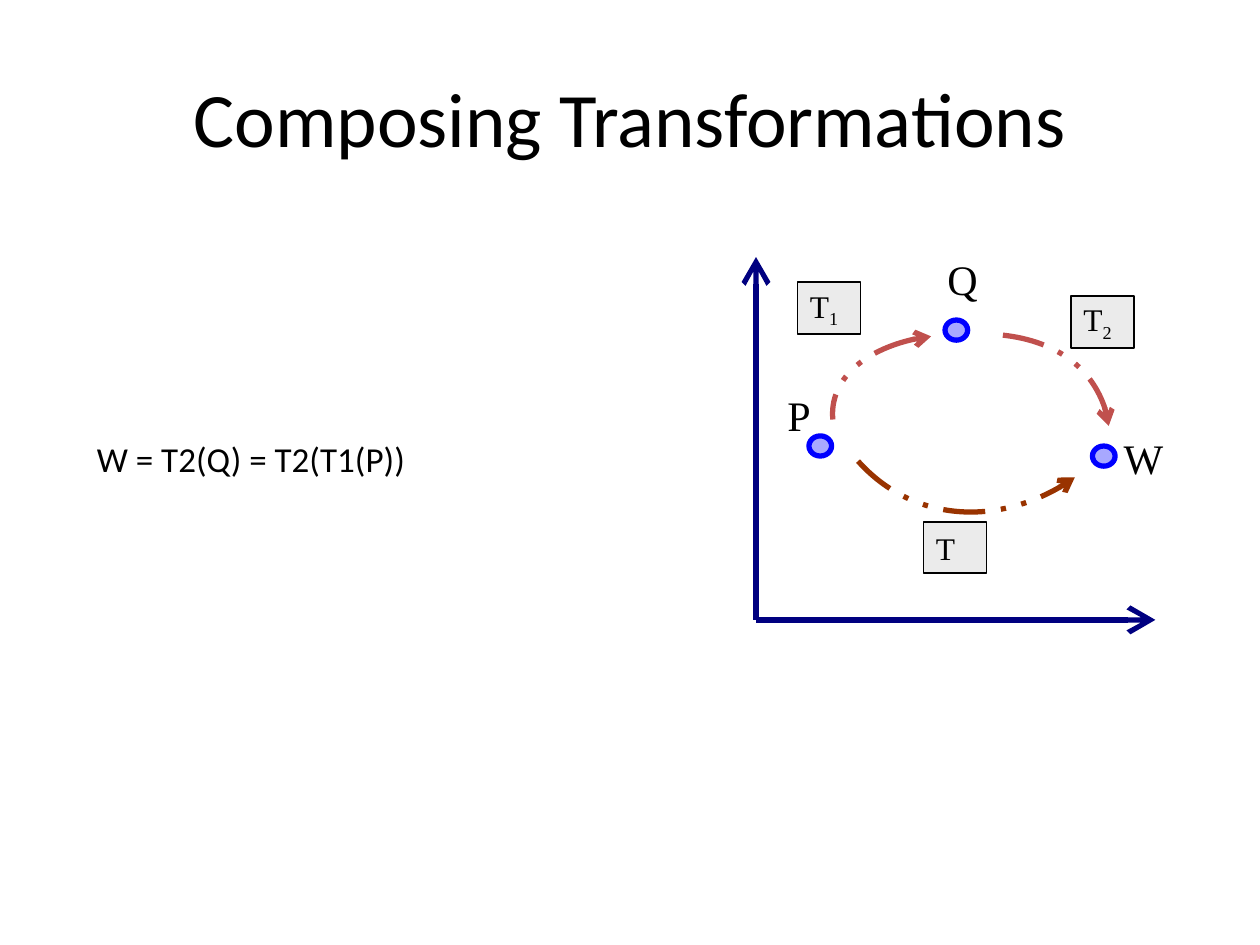
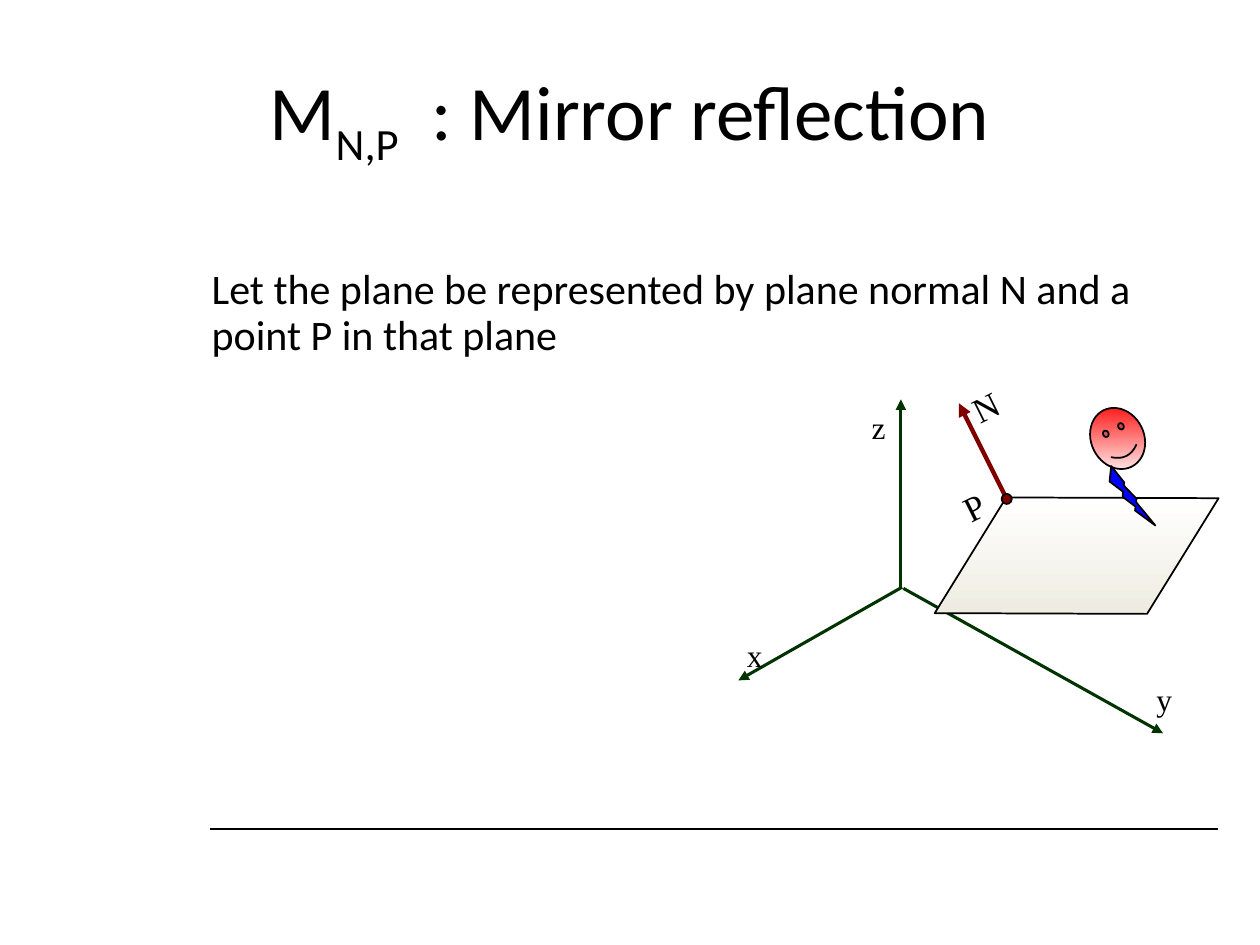
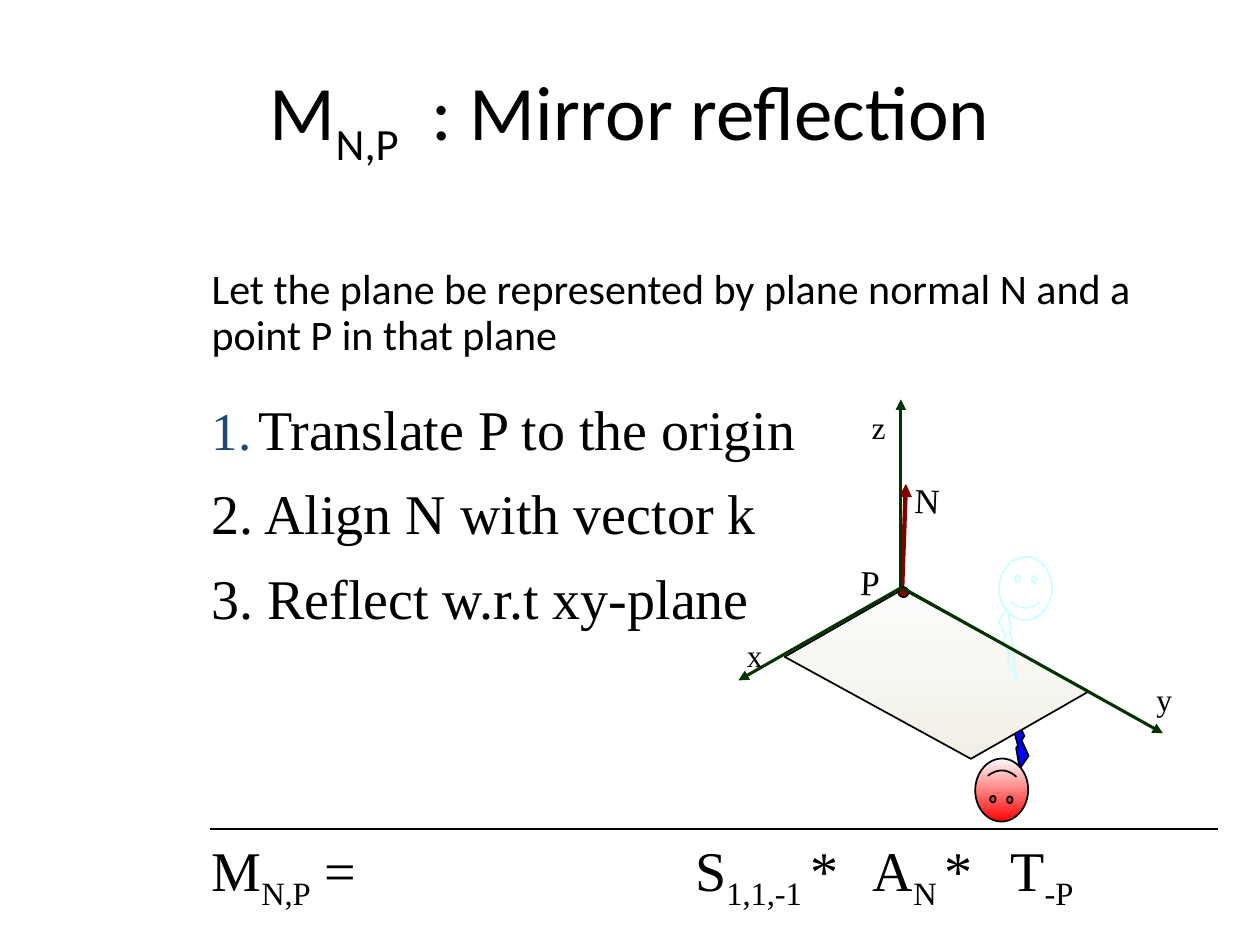
from dataclasses import dataclass
from typing import Optional

from lxml import etree
from pptx import Presentation
from pptx.dml.color import RGBColor
from pptx.enum.dml import MSO_LINE
from pptx.enum.shapes import MSO_CONNECTOR, MSO_SHAPE
from pptx.enum.text import MSO_ANCHOR, MSO_AUTO_SIZE, PP_ALIGN
from pptx.oxml.ns import qn
from pptx.util import Inches, Pt

STRAIGHT = MSO_CONNECTOR.STRAIGHT
ELLIPSE = MSO_SHAPE.OVAL
RECTANGLE = MSO_SHAPE.RECTANGLE
PARALLELOGRAM = MSO_SHAPE.PARALLELOGRAM
SMILEY = MSO_SHAPE.SMILEY_FACE
BOLT = MSO_SHAPE.LIGHTNING_BOLT
DASH_DOT_DOT = MSO_LINE.DASH_DOT_DOT
MIDDLE = MSO_ANCHOR.MIDDLE
TOP = MSO_ANCHOR.TOP
GROW = MSO_AUTO_SIZE.SHAPE_TO_FIT_TEXT
FIXED = MSO_AUTO_SIZE.NONE
LEFT = PP_ALIGN.LEFT

COLORS = {
    "ink": "000000",
    "paper": "FFFFFF",
    "axis": "000080",
    "point": "0000FF",
    "step": "C0504D",
    "composed": "993300",
    "tag": "C0C0C0",
    "frame": "003300",
    "normal": "800000",
    "plane": "EEECE1",
    "face": "FF0000",
    "ghost": "CCFFFF",
    "number": "1F497D",
}
HEADING_FONT = "Calibri"
DIAGRAM_FONT = "Times New Roman"
SUBSCRIPT = -25000

Point = tuple[float, float]
Area = tuple[float, float, float, float]


@dataclass(frozen=True)
class Run:
    text: str
    subscript: bool = False
    spacing: float = 0


@dataclass(frozen=True)
class Label:
    runs: tuple[Run, ...]
    area: Area
    size: float = 24
    font: str = DIAGRAM_FONT
    anchor: MSO_ANCHOR = TOP
    wrap: bool = True
    rotation: float = 0


@dataclass(frozen=True)
class Arc:
    curve: tuple[Point, Point, Point, Point]
    color: str
    arrow_end: str = "tailEnd"


@dataclass(frozen=True)
class Entry:
    runs: tuple[Run, ...]
    area: Area
    numbered: bool = False


@dataclass(frozen=True)
class Normal:
    start: Point
    end: Point
    name_at: Point
    point_name_at: Point
    point_at: Point
    tilt: float


def rgb(name: str) -> RGBColor:
    return RGBColor.from_string(COLORS[name])


def lengths(values: tuple) -> list:
    return [Inches(value) for value in values]


def write(paragraph, runs: tuple[Run, ...], size: float, font: str) -> None:
    for part in runs:
        run = paragraph.add_run()
        run.text = part.text
        run.font.size = Pt(size)
        run.font.name = font
        run.font.color.rgb = rgb("ink")
        properties = run.font._element
        if part.subscript:
            properties.set("baseline", str(SUBSCRIPT))
        if part.spacing:
            properties.set("spc", str(int(part.spacing * 100)))


def set_arrow(line_format, end: str, kind: str, size: str = "med") -> None:
    line = line_format._get_or_add_ln()
    etree.SubElement(line, qn(f"a:{end}"), type=kind, w=size, len=size)


def add_label(slide, label: Label) -> None:
    box = slide.shapes.add_textbox(*lengths(label.area))
    box.rotation = label.rotation
    frame = box.text_frame
    frame.word_wrap = label.wrap
    frame.auto_size = GROW
    frame.vertical_anchor = label.anchor
    write(frame.paragraphs[0], label.runs, label.size, label.font)


def add_line(slide, start: Point, end: Point, color: str, width: float,
             arrow: Optional[str] = None, arrow_size: str = "med") -> None:
    line = slide.shapes.add_connector(STRAIGHT, *lengths(start + end))
    line.line.color.rgb = rgb(color)
    line.line.width = Pt(width)
    if arrow:
        set_arrow(line.line, "tailEnd", arrow, arrow_size)
    etree.SubElement(line._element.spPr, qn("a:effectLst"))


def add_figure(slide, kind: MSO_SHAPE, area: Area, fill: Optional[str] = None,
               line: str = "ink", width: float = 1, rotation: float = 0,
               opacity: int = 100):
    figure = slide.shapes.add_shape(kind, *lengths(area))
    figure.shadow.inherit = False
    figure.rotation = rotation
    figure.line.color.rgb = rgb(line)
    figure.line.width = Pt(width)
    if fill is None:
        figure.fill.background()
        return figure
    figure.fill.solid()
    figure.fill.fore_color.rgb = rgb(fill)
    if opacity < 100:
        color = figure._element.spPr.find(qn("a:solidFill"))[0]
        etree.SubElement(color, qn("a:alpha"), val=str(opacity * 1000))
    return figure


def shade(figure, upper: str, lower: str) -> None:
    figure.fill.gradient()
    figure.fill.gradient_angle = 270
    for stop, color, position in zip(figure.fill.gradient_stops, (upper, lower), (0, 1)):
        stop.color.rgb = rgb(color)
        stop.position = position
    figure._element.spPr.find(qn("a:gradFill")).set("rotWithShape", "0")


def add_arc(slide, arc: Arc) -> None:
    start, *rest = [tuple(lengths(point)) for point in arc.curve]
    builder = slide.shapes.build_freeform(*start)
    builder.add_line_segments(rest, close=False)
    shape = builder.convert_to_shape()
    shape.shadow.inherit = False
    shape.fill.background()
    shape.line.color.rgb = rgb(arc.color)
    shape.line.width = Pt(3)
    shape.line.dash_style = DASH_DOT_DOT
    set_arrow(shape.line, arc.arrow_end, "arrow")
    outline = shape._element.spPr.find(".//" + qn("a:path"))
    bezier = etree.SubElement(outline, qn("a:cubicBezTo"))
    for segment in outline.findall(qn("a:lnTo")):
        bezier.append(segment[0])
        outline.remove(segment)


def add_tag(slide, runs: tuple[Run, ...], corner: Point) -> None:
    tag = add_figure(slide, RECTANGLE, corner + (0.5, 0.41), "tag", opacity=30)
    frame = tag.text_frame
    frame.word_wrap = True
    frame.auto_size = GROW
    frame.vertical_anchor = MIDDLE
    paragraph = frame.paragraphs[0]
    paragraph.alignment = LEFT
    write(paragraph, runs, 18, DIAGRAM_FONT)


def add_entry(slide, entry: Entry) -> None:
    frame = slide.shapes.add_textbox(*lengths(entry.area)).text_frame
    frame.word_wrap = True
    paragraph = frame.paragraphs[0]
    paragraph.space_before = Pt(6.4)
    write(paragraph, entry.runs, 32, DIAGRAM_FONT)
    properties = paragraph._p.get_or_add_pPr()
    properties.set("marL", str(Inches(0.37)))
    properties.set("indent", str(-Inches(0.37)))
    if entry.numbered:
        color = etree.SubElement(properties, qn("a:buClr"))
        etree.SubElement(color, qn("a:srgbClr"), val=COLORS["number"])
        etree.SubElement(properties, qn("a:buSzPct"), val="95000")
        etree.SubElement(properties, qn("a:buAutoNum"), type="arabicPeriod")


def start_slide(deck, layout: int, title_runs: tuple[Run, ...]):
    slide = deck.slides.add_slide(deck.slide_layouts[layout])
    title = slide.shapes.title
    title.left, title.top, title.width, title.height = lengths((0.5, 0.3, 9, 1.25))
    title.text_frame.vertical_anchor = MIDDLE
    write(title.text_frame.paragraphs[0], title_runs, 44, HEADING_FONT)
    return slide


def start_mirror_slide(deck):
    slide = start_slide(deck, 1, (
        Run("M"), Run("N,P", True), Run(" ", True, 13), Run(": Mirror reflection")))
    premise = slide.placeholders[1]
    premise.left, premise.top, premise.width, premise.height = lengths((1.58, 2.08, 8.17, 0.92))
    premise.text_frame.auto_size = FIXED
    paragraph = premise.text_frame.paragraphs[0]
    paragraph.line_spacing = 0.9
    write(paragraph, (Run("Let the plane be represented by plane normal N and a "
                          "point P in that plane"),), 24, HEADING_FONT)
    properties = paragraph._p.get_or_add_pPr()
    properties.set("marL", "0")
    properties.set("indent", "0")
    etree.SubElement(properties, qn("a:buNone"))
    add_line(slide, (1.67, 6.58), (9.67, 6.58), "ink", 1)
    return slide


def draw_frame(slide) -> None:
    for start, end in (((7.15, 4.67), (7.15, 3.17)),
                       ((7.16, 4.66), (5.86, 5.4)),
                       ((7.17, 4.67), (9.23, 5.82))):
        add_line(slide, start, end, "frame", 1.75, "triangle")
    for name, area in (("x", (5.83, 5, 0.33, 0.4)),
                       ("y", (9.08, 5.35, 0.33, 0.4)),
                       ("z", (6.82, 3.19, 0.31, 0.4))):
        add_label(slide, Label((Run(name),), area, 18, wrap=False))


def draw_plane(slide, corner: Point, rotation: float) -> None:
    plane = add_figure(slide, PARALLELOGRAM, corner + (2.25, 0.92), "plane", rotation=rotation)
    plane.adjustments[0] = 0.614
    shade(plane, "paper", "plane")


def draw_normal(slide, normal: Normal) -> None:
    add_line(slide, normal.start, normal.end, "normal", 2.5, "triangle")
    for name, corner, width in (("N", normal.name_at, 0.4),
                                ("P", normal.point_name_at, 0.36)):
        add_label(slide, Label((Run(name),), corner + (width, 0.43), 20,
                               wrap=False, rotation=normal.tilt))
    add_figure(slide, ELLIPSE, normal.point_at + (0.08, 0.08), "normal", rotation=normal.tilt)


def draw_face(slide, corner: Point, rotation: float,
              shades: Optional[tuple[str, str]] = None, line: str = "ink") -> None:
    face = add_figure(slide, SMILEY, corner + (0.42, 0.5), line=line, rotation=rotation)
    if shades:
        shade(face, *shades)


def draw_body(slide, corner: Point, rotation: float,
              fill: Optional[str] = "point", line: str = "ink") -> None:
    add_figure(slide, BOLT, corner + (0.17, 0.58), fill, line, rotation=rotation)


def build_composition(deck) -> None:
    slide = start_slide(deck, 5, (Run("Composing Transformations"),))
    origin = (6, 4.92)
    for end in ((9.17, 4.92), (6, 2.04)):
        add_line(slide, origin, end, "axis", 3, "arrow", "lg")
    for corner in ((6.42, 3.46), (7.5, 2.54), (8.67, 3.54)):
        add_figure(slide, ELLIPSE, corner + (0.18, 0.16), "point", "point", 3, opacity=34)
    for arc in (
        Arc(((7.96, 2.66), (8.41, 2.71), (8.76, 3.01), (8.8, 3.38)), "step"),
        Arc(((7.39, 2.67), (6.93, 2.72), (6.58, 3.01), (6.61, 3.33)), "step", "headEnd"),
        Arc(((6.81, 3.66), (7.23, 4.13), (7.97, 4.19), (8.53, 3.79)), "composed"),
    ):
        add_arc(slide, arc)
    for name, corner in (("P", (6.15, 3.04)), ("Q", (7.42, 1.96)), ("W", (8.82, 3.38))):
        add_label(slide, Label((Run(name),), corner + (0.52, 0.5), anchor=MIDDLE))
    add_tag(slide, (Run("T"), Run("1", True)), (6.33, 2.24))
    add_tag(slide, (Run("T"), Run("2", True)), (8.5, 2.35))
    add_tag(slide, (Run("T"),), (7.33, 4.14))
    add_label(slide, Label((Run("W = T2(Q) = T2(T1(P))"),),
                           (0.67, 3.42, 4.92, 0.43), 20, HEADING_FONT))


def build_mirror_setup(deck) -> None:
    slide = start_mirror_slide(deck)
    tilt = 333.5
    draw_frame(slide)
    draw_plane(slide, (7.42, 3.95), 0.2)
    draw_normal(slide, Normal((7.98, 3.94), (7.61, 3.2), (7.62, 3.01),
                              (7.55, 3.8), (7.95, 3.92), tilt))
    draw_face(slide, (8.66, 3.23), tilt, ("face", "paper"))
    draw_body(slide, (8.88, 3.66), tilt)


def build_mirror_steps(deck) -> None:
    slide = start_mirror_slide(deck)
    steps = ("Translate P to the origin", "2. Align N with vector k",
             "3. Reflect w.r.t xy-plane")
    for index, step in enumerate(steps):
        area = (1.58, 3.08 + 0.67 * index, 5.22, 0.5)
        add_entry(slide, Entry((Run(step),), area, numbered=index == 0))
    for runs, left, width in (
        ((Run("M"), Run("N,P", True), Run(" = ")), 1.58, 1.5),
        ((Run("T"), Run("-P", True)), 7.92, 0.83),
        ((Run("A"), Run("N ", True), Run("*")), 6.83, 1.17),
        ((Run("S"), Run("1,1,-1 ", True), Run("*")), 5.42, 1.67),
    ):
        add_entry(slide, Entry(runs, (left, 6.58, width, 0.5)))
    tilt = 2
    draw_body(slide, (8, 5.52), tilt + 180)
    draw_plane(slide, (6.31, 4.89), 28.7)
    draw_normal(slide, Normal((7.16, 4.67), (7.19, 3.84), (7.16, 3.75),
                              (6.73, 4.4), (7.13, 4.66), tilt))
    draw_face(slide, (7.74, 6.02), tilt + 180, ("paper", "face"))
    draw_face(slide, (7.93, 4.42), tilt, line="ghost")
    draw_body(slide, (7.92, 4.83), tilt, None, "ghost")
    draw_frame(slide)


def main() -> None:
    deck = Presentation()
    deck.slide_width, deck.slide_height = Inches(10), Inches(7.5)
    build_composition(deck)
    build_mirror_setup(deck)
    build_mirror_steps(deck)
    deck.save("out.pptx")


main()
